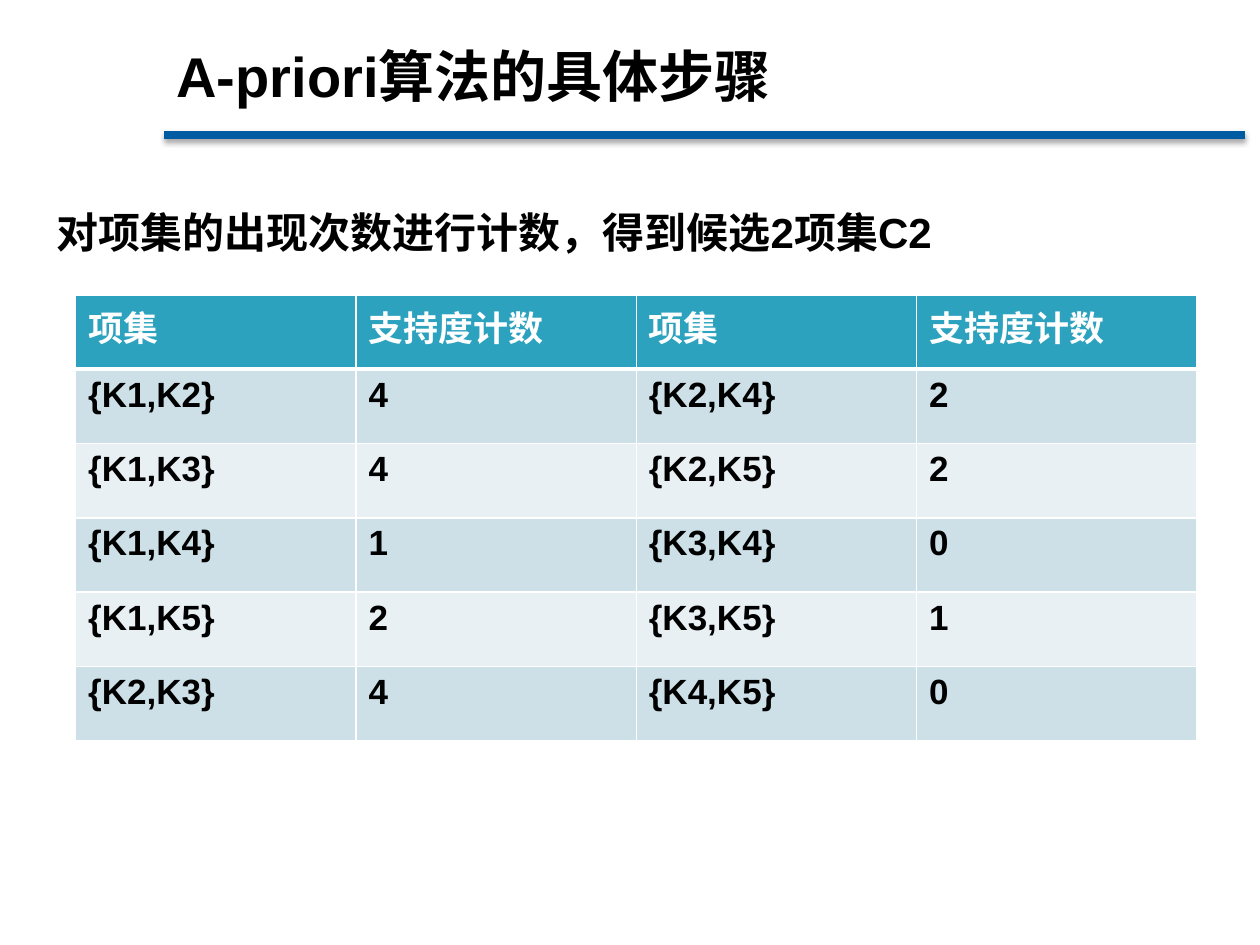
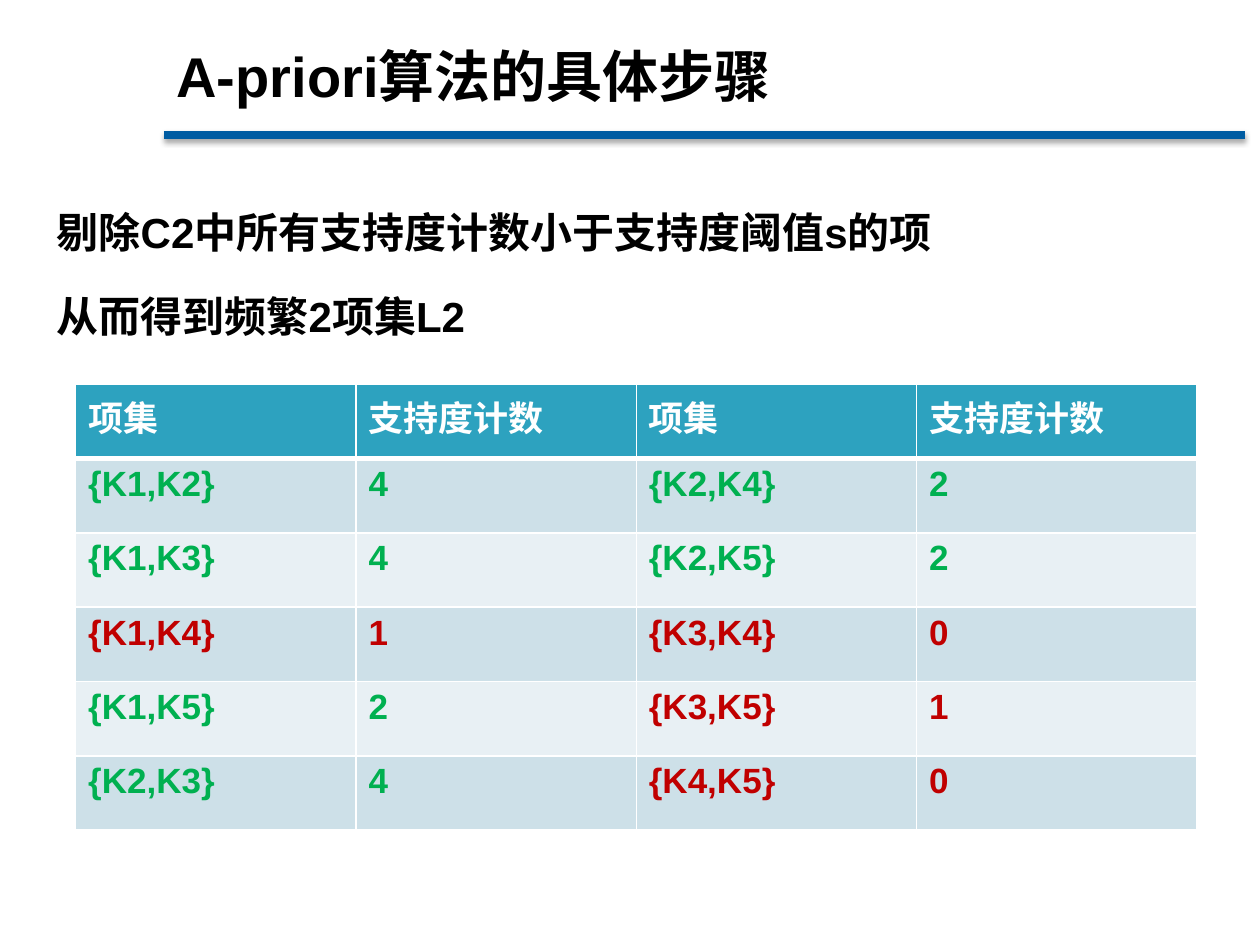
from dataclasses import dataclass

from lxml.etree import SubElement as Sub
from pptx import Presentation
from pptx.dml.color import RGBColor as RGB
from pptx.enum.shapes import MSO_CONNECTOR as Link
from pptx.enum.text import MSO_ANCHOR as Anchor, MSO_AUTO_SIZE as Fit, PP_ALIGN as Align
from pptx.oxml.ns import qn
from pptx.util import Inches, Pt

TITLE = "A-priori算法的具体步骤"
HEAD = ("项集", "支持度计数") * 2
COUNTS = [
    ("{K1,K2}", 4, "{K2,K4}", 2),
    ("{K1,K3}", 4, "{K2,K5}", 2),
    ("{K1,K4}", 1, "{K3,K4}", 0),
    ("{K1,K5}", 2, "{K3,K5}", 1),
    ("{K2,K3}", 4, "{K4,K5}", 0),
]
LIMIT = 2  # lowest support count that is kept
PAGES = [
    {"body": ["对项集的出现次数进行计数，得到候选2项集C2"], "top": 2.34, "mark": False},
    {"body": ["剔除C2中所有支持度计数小于支持度阈值s的项", "从而得到频繁2项集L2"],
     "top": 3.05, "mark": True},
]


@dataclass(frozen=True)
class Theme:
    """Colours, font and type sizes of the deck."""
    font: str = "Arial"
    ink: str = "000000"
    paper: str = "FFFFFF"
    rule: str = "005CA2"
    head: str = "2DA2BF"
    bands: tuple = ("CDE0E8", "E8F0F4")
    keep: str = "00B050"
    drop: str = "C00000"
    title: int = 32
    body: int = 24
    cell: int = 20


LOOK = Theme()
WIDE, HIGH = 10, 7.5
LEFT, TABLE_W, ROW_H = 0.6, 8.9, 0.59
RULE_X, RULE_Y, RULE_END = 1.3, 1.07, 9.88


def style(para, size, color=LOOK.ink):
    """Format every run of a paragraph."""
    for run in para.runs:
        font = run.font
        font.name, font.size, font.bold = LOOK.font, Pt(size), True
        font.color.rgb = RGB.from_string(color)


def place(shape, *box):
    """Move a shape to left, top, width, height in inches."""
    shape.left, shape.top, shape.width, shape.height = map(Inches, box)


def add_rule(slide):
    """Draw the shadowed line under the title."""
    line = slide.shapes.add_connector(
        Link.STRAIGHT, *map(Inches, (RULE_X, RULE_Y, RULE_END, RULE_Y)))
    line.line.color.rgb = RGB.from_string(LOOK.rule)
    line.line.width = Pt(4.5)
    effects = Sub(line._element.spPr, qn("a:effectLst"))
    shade = Sub(effects, qn("a:outerShdw"), blurRad=str(Pt(3.1)), dist=str(Pt(1.8)),
                dir="5400000", algn="t", rotWithShape="0")
    Sub(Sub(shade, qn("a:srgbClr"), val=LOOK.ink), qn("a:alpha"), val="35000")


def add_text(slide, lines):
    """Fill the title and body placeholders."""
    title, body = slide.placeholders
    place(title, RULE_X, 0.13, 8.64, RULE_Y - 0.13)
    place(body, 0.35, 1.39, 9.45, 0.88)
    title.text_frame.text = TITLE
    title.text_frame.vertical_anchor = Anchor.MIDDLE
    body.text_frame.text = "\n".join(lines)
    for shape, size in ((title, LOOK.title), (body, LOOK.body)):
        frame = shape.text_frame
        frame.word_wrap, frame.auto_size = True, Fit.NONE
        for para in frame.paragraphs:
            para.alignment = Align.LEFT
            style(para, size)
    for para in body.text_frame.paragraphs:
        para.line_spacing = 1.5
        props = para._p.get_or_add_pPr()
        props.set("marL", "0")
        props.set("indent", "0")
        Sub(props, qn("a:buNone"))


def edge(cell, row):
    """Give a cell white borders, thick below the header row."""
    props = cell._tc.get_or_add_tcPr()
    thick = {"T": 3 if row == 1 else 1, "B": 3 if row == 0 else 1}
    for side in "LRTB":
        line = Sub(props, qn(f"a:ln{side}"), w=str(Pt(thick.get(side, 1))))
        Sub(Sub(line, qn("a:solidFill")), qn("a:srgbClr"), val=LOOK.paper)


def ink(row, col, mark):
    """Choose a text colour: header, plain, kept or dropped."""
    if row == 0:
        return LOOK.paper
    if not mark:
        return LOOK.ink
    count = COUNTS[row - 1][col // 2 * 2 + 1]
    return LOOK.keep if count >= LIMIT else LOOK.drop


def add_counts(slide, top, mark):
    """Add the table of item sets and their support counts."""
    rows = [HEAD, *COUNTS]
    box = map(Inches, (LEFT, top, TABLE_W, ROW_H * len(rows)))
    table = slide.shapes.add_table(len(rows), len(HEAD), *box).table
    for col in table.columns:
        col.width = Inches(TABLE_W / len(HEAD))
    for r, values in enumerate(rows):
        table.rows[r].height = Inches(ROW_H)
        fill = LOOK.bands[(r - 1) % 2] if r else LOOK.head
        for c, value in enumerate(values):
            cell = table.cell(r, c)
            cell.text_frame.text = str(value)
            style(cell.text_frame.paragraphs[0], LOOK.cell, ink(r, c, mark))
            edge(cell, r)
            cell.fill.solid()
            cell.fill.fore_color.rgb = RGB.from_string(fill)


deck = Presentation()
deck.slide_width, deck.slide_height = Inches(WIDE), Inches(HIGH)
for page in PAGES:
    slide = deck.slides.add_slide(deck.slide_layouts[1])
    add_rule(slide)
    add_text(slide, page["body"])
    add_counts(slide, page["top"], page["mark"])
deck.save("out.pptx")
